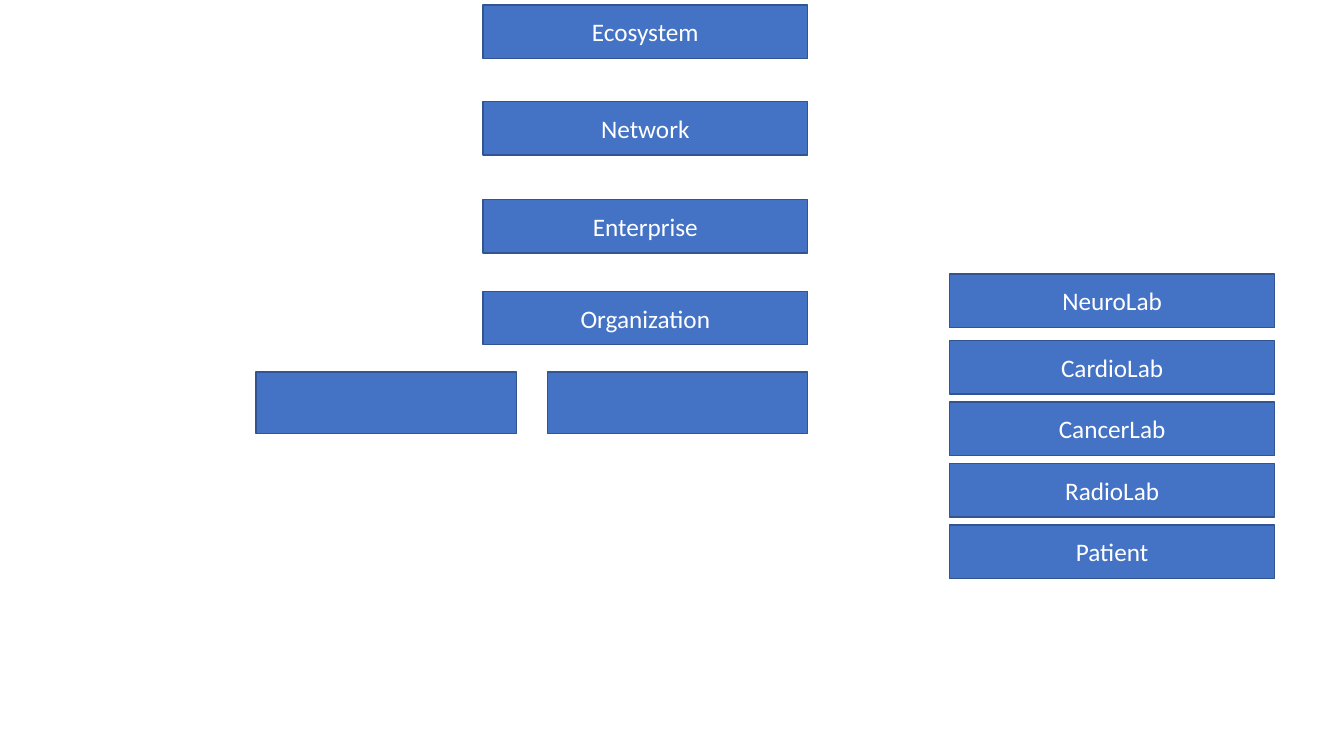
from pptx import Presentation
from pptx.dml.color import RGBColor
from pptx.enum.shapes import MSO_SHAPE
from pptx.enum.text import MSO_ANCHOR, PP_ALIGN
from pptx.util import Inches, Pt

BOX_H = 0.53
LEVELS = [("Ecosystem", 0), ("Network", 0.96), ("Enterprise", 1.93), ("Organization", 2.84)]
LABS = [("NeuroLab", 0), ("CardioLab", 0.66), ("CancerLab", 1.27), ("RadioLab", 1.88), ("Patient", 2.49)]


def color(value):
    return RGBColor.from_string(value)


def add_text(sp, text, size=18, font="Calibri", fill="FFFFFF", align=PP_ALIGN.CENTER):
    tf = sp.text_frame
    tf.word_wrap = True
    tf.vertical_anchor = MSO_ANCHOR.MIDDLE
    p = tf.paragraphs[0]
    p.alignment = align
    r = p.add_run()
    r.text = text
    r.font.size = Pt(size)
    r.font.name = font
    r.font.color.rgb = color(fill)


def add_box(s, left, top, width, height, text=None):
    sp = s.shapes.add_shape(MSO_SHAPE.RECTANGLE, Inches(left), Inches(top), Inches(width), Inches(height))
    sp.shadow.inherit = False
    sp.fill.solid()
    sp.fill.fore_color.rgb = color("4472C4")
    sp.line.color.rgb = color("325491")
    sp.line.width = Pt(1)
    if text:
        add_text(sp, text)


def add_stack(s, left, top, width, items):
    for text, offset in items:
        add_box(s, left, top + offset, width, BOX_H, text)


def add_units(s, left, top, width, height, count=2, gap=0.31):
    unit_w = (width - gap * (count - 1)) / count
    for i in range(count):
        add_box(s, left + i * (unit_w + gap), top, unit_w, height)


prs = Presentation()
prs.slide_width = Inches(13.33)
prs.slide_height = Inches(7.5)
s = prs.slides.add_slide(prs.slide_layouts[6])
add_stack(s, 4.79, 0.05, 3.22, LEVELS)
add_stack(s, 9.42, 2.72, 3.22, LABS)
add_units(s, 2.54, 3.69, 5.47, 0.61)
prs.save("out.pptx")
